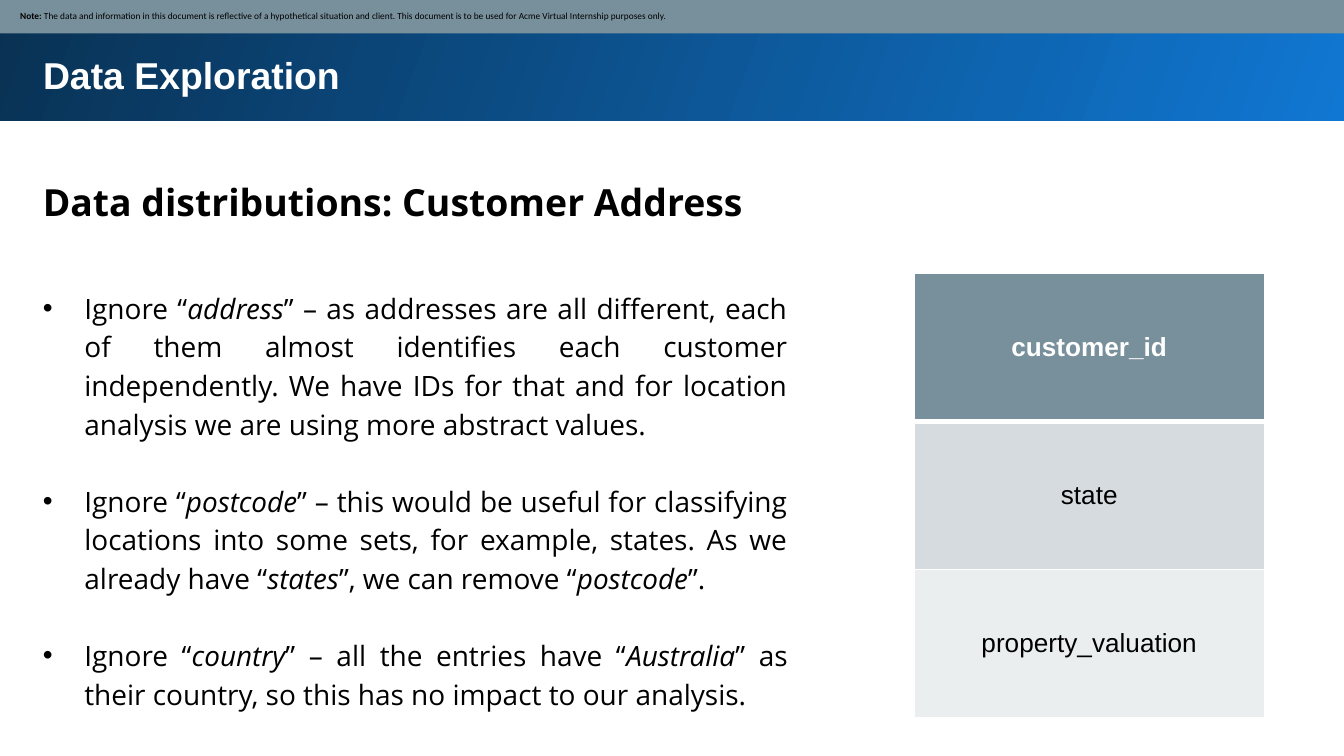
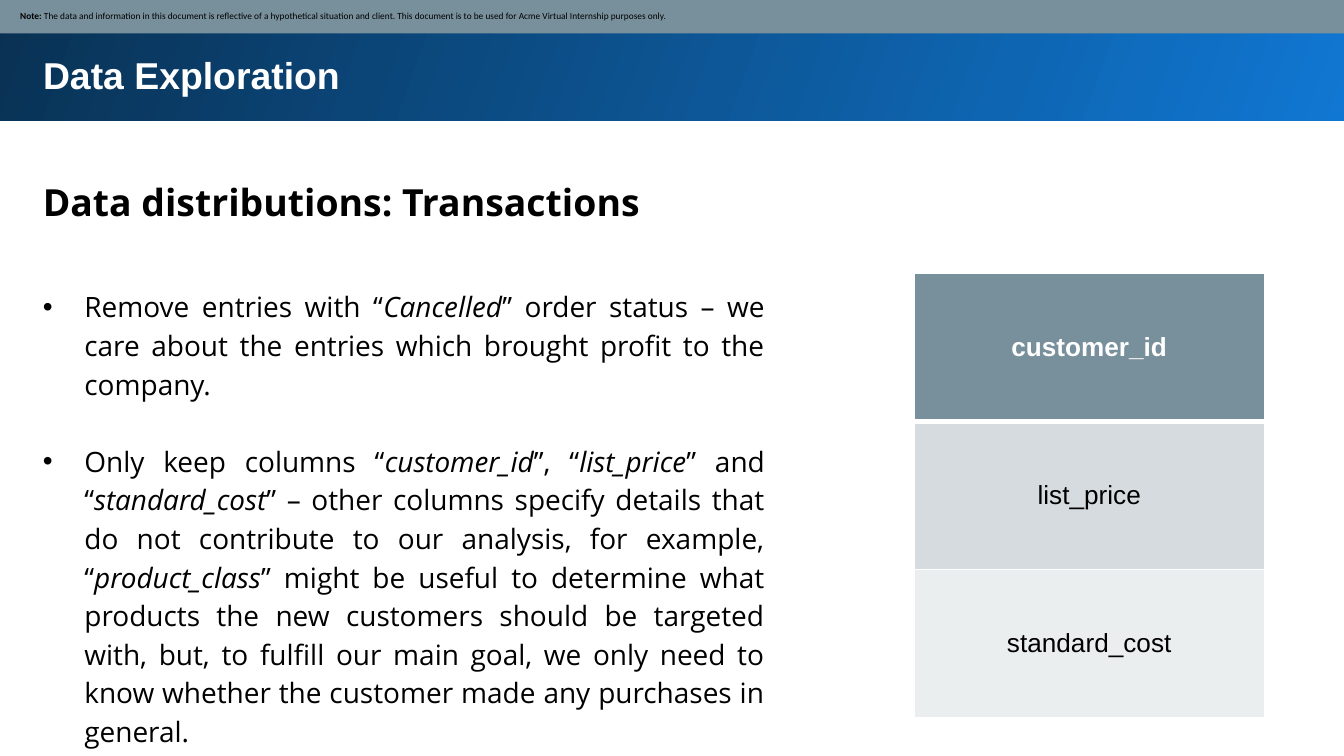
from lxml import etree
from pptx import Presentation, util as u
from pptx.dml.color import RGBColor
from pptx.enum import shapes as sh, text as tx
from pptx.oxml.ns import qn

# Content: *stars* mark italics
TITLE = "Data Exploration"
NOTE = ("Note: ", "The data and information in this document is reflective of a "
        "hypothetical situation and client. This document is to be used for "
        "Acme Virtual Internship purposes only.")
SLIDES = [
    dict(head="Data distributions: Customer Address", top=2.03, wide=5.74,
         points=[
             "Ignore “*address*” – as addresses are all different, each of them "
             "almost identifies each customer independently. We have IDs for that "
             "and for location analysis we are using more abstract values.",
             "Ignore “*postcode*” – this would be useful for classifying locations "
             "into some sets, for example, states. As we already have “*states*”, "
             "we can remove “*postcode*”.",
             "Ignore “*country*” – all the entries have “*Australia*” as their "
             "country, so this has no impact to our analysis."],
         fields=["customer_id", "state", "property_valuation"]),
    dict(head="Data distributions: Transactions", top=2.02, wide=5.57,
         points=[
             "Remove entries with “*Cancelled*” order status – we care about the "
             "entries which brought profit to the company.",
             "Only keep columns “*customer_id*”, “*list_price*” and "
             "“*standard_cost*” – other columns specify details that do not "
             "contribute to our analysis, for example, “*product_class*” might be "
             "useful to determine what products the new customers should be "
             "targeted with, but, to fulfill our main goal, we only need to know "
             "whether the customer made any purchases in general."],
         fields=["customer_id", "list_price", "standard_cost"]),
]

# Shared look
WIDE, HIGH = 10, 5.625
LEFT, SPAN = 0.22, 9.37
WHITE, BLACK, SLATE = "FFFFFF", "000000", "78909C"
BLUE, NAVY = "1077D2", "093153"
ROWS = [SLATE, "D5DBDE", "EBEEEF"]
HEAD = dict(name="Open Sans", size=u.Pt(20), bold=True)
BODY = dict(name="Open Sans", size=u.Pt(15), bold=False)
TOP = dict(name="Arial", size=u.Pt(20), bold=True)
CELL = dict(name="Arial", size=u.Pt(14))
SMALL = dict(name="Calibri", size=u.Pt(5))
GAP = 20.6  # one line between points


def rgb(code):
    return RGBColor.from_string(code)


def place(*vals):
    return [u.Inches(v) for v in vals]


def put(obj, fmt):
    for key, val in fmt.items():
        setattr(obj, key, val)


def write(par, words, fmt, color=BLACK, **more):
    run = par.add_run()
    run.text = words
    put(run.font, {**fmt, **more})
    run.font.color.rgb = rgb(color)


def setup(frame, inset=0.1, **more):
    sides = ("left", "top", "right", "bottom")
    put(frame, {f"margin_{s}": u.Inches(inset) for s in sides})
    put(frame, dict(word_wrap=True, vertical_anchor=tx.MSO_ANCHOR.TOP,
                    auto_size=tx.MSO_AUTO_SIZE.SHAPE_TO_FIT_TEXT))
    put(frame, more)
    return frame


def box(slide, *at):
    return setup(slide.shapes.add_textbox(*place(*at)).text_frame)


def strip(slide, *at):
    bar = slide.shapes.add_shape(sh.MSO_SHAPE.RECTANGLE, *place(*at))
    bar.shadow.inherit = False
    bar.line.fill.background()
    return bar


def banner(slide):
    # Gradient band goes behind the title
    band = strip(slide, -0.02, -0.02, 10.05, 0.92)
    band.fill.gradient()
    band.fill.gradient_angle = 160
    for stop, code, pos in zip(band.fill.gradient_stops, (BLUE, NAVY), (0, 1)):
        stop.color.rgb = rgb(code)
        stop.position = pos
    title = slide.shapes.title
    title.element.addprevious(band.element)
    title.left, title.top, title.width, title.height = place(LEFT, 0.29, SPAN, 0.51)
    par = setup(title.text_frame).paragraphs[0]
    par.alignment = tx.PP_ALIGN.LEFT
    write(par, TITLE, TOP, WHITE)


def notice(slide):
    bar = strip(slide, -0.01, -0.01, 10.03, 0.26)
    bar.fill.solid()
    bar.fill.fore_color.rgb = rgb(SLATE)
    frame = setup(bar.text_frame, 0.05, margin_left=u.Inches(0.16),
                  vertical_anchor=tx.MSO_ANCHOR.MIDDLE,
                  auto_size=tx.MSO_AUTO_SIZE.NONE)
    par = frame.paragraphs[0]
    par.alignment = tx.PP_ALIGN.LEFT
    for words, bold in zip(NOTE, (True, False)):
        write(par, words, SMALL, bold=bold)


def bullets(frame, points):
    for n, point in enumerate(points):
        par = frame.add_paragraph() if n else frame.paragraphs[0]
        put(par, dict(alignment=tx.PP_ALIGN.JUSTIFY, line_spacing=1.15,
                      space_before=u.Pt(GAP if n else 0)))
        props = par._p.get_or_add_pPr()
        props.set("marL", str(u.Inches(0.31)))
        props.set("indent", str(-u.Inches(0.31)))
        etree.SubElement(props, qn("a:buFont"), typeface="Arial")
        etree.SubElement(props, qn("a:buChar"), char="•")
        for i, part in enumerate(point.split("*")):
            if part:
                write(par, part, BODY, italic=i % 2 == 1)


def edges(cell, top, low):
    # Border lines come before the fill
    props = cell._tc.get_or_add_tcPr()
    for i, (side, size) in enumerate(zip("LRTB", (1, 1, top, low))):
        line = etree.Element(qn(f"a:ln{side}"), w=str(u.Pt(size)))
        fill = etree.SubElement(line, qn("a:solidFill"))
        etree.SubElement(fill, qn("a:srgbClr"), val=WHITE)
        props.insert(i, line)


def column(slide, fields):
    grid = slide.shapes.add_table(len(fields), 1, *place(6.8, 2.03, 2.61, 3.31)).table
    for n, (field, code) in enumerate(zip(fields, ROWS)):
        cell = grid.cell(n, 0)
        cell.fill.solid()
        cell.fill.fore_color.rgb = rgb(code)
        cell.vertical_anchor = tx.MSO_ANCHOR.MIDDLE
        par = cell.text_frame.paragraphs[0]
        par.alignment = tx.PP_ALIGN.CENTER
        write(par, field, CELL, BLACK if n else WHITE, bold=n == 0)
        edges(cell, 3 if n == 1 else 1, 1 if n else 3)


deck = Presentation()
deck.slide_width, deck.slide_height = place(WIDE, HIGH)
for page in SLIDES:
    slide = deck.slides.add_slide(deck.slide_layouts[5])
    banner(slide)
    par = box(slide, LEFT, 1.18, SPAN, 0.56).paragraphs[0]
    par.line_spacing = 1.15
    write(par, page["head"], HEAD)
    bullets(box(slide, LEFT, page["top"], page["wide"], 3.37), page["points"])
    notice(slide)
    column(slide, page["fields"])
deck.save("out.pptx")
